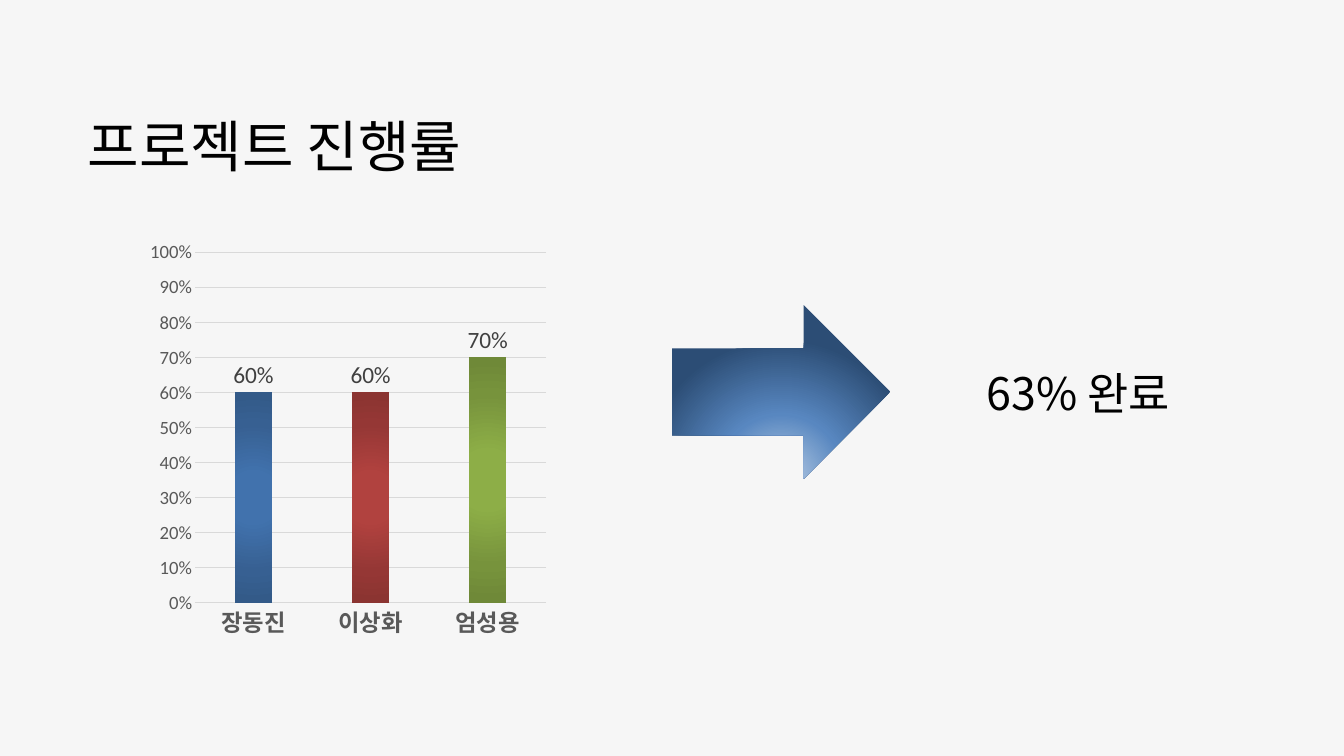
from pptx import Presentation
from pptx.chart.data import CategoryChartData
from pptx.dml.color import RGBColor
from pptx.enum.chart import XL_CHART_TYPE, XL_LABEL_POSITION, XL_TICK_MARK
from pptx.enum.shapes import MSO_SHAPE
from pptx.enum.text import MSO_ANCHOR
from pptx.oxml import parse_xml
from pptx.oxml.ns import nsdecls, qn
from pptx.util import Inches, Pt

KOREAN_FONT = "Noto Sans CJK KR"
CHART_FONT = "Calibri"
PROGRESS = {"장동진": 0.6, "이상화": 0.6, "엄성용": 0.7}
BAR_SHADES = [
    ("4172AD", "376092", "335A88"),
    ("B1423F", "953735", "8B3431"),
    ("8DAE47", "77933C", "6F8938"),
]


def color(hex_code):
    return RGBColor.from_string(hex_code)


def style_font(font, size, hex_code, name, bold=False):
    font.size = Pt(size)
    font.color.rgb = color(hex_code)
    font.name = name
    font.bold = bold


def radial_fill(fill, properties, stops, top=50):
    fill.solid()
    stop_xml = "".join(
        f'<a:gs pos="{position * 1000}"><a:srgbClr val="{shade}"/></a:gs>'
        for position, shade in stops
    )
    gradient = parse_xml(
        f'<a:gradFill {nsdecls("a")} rotWithShape="1"><a:gsLst>{stop_xml}</a:gsLst>'
        f'<a:path path="circle"><a:fillToRect l="50000" t="{top * 1000}" '
        f'r="50000" b="{(100 - top) * 1000}"/></a:path></a:gradFill>'
    )
    properties.replace(properties.find(qn("a:solidFill")), gradient)


def add_label(slide, text, left, top, width, height, size):
    label = slide.shapes.add_textbox(
        Inches(left), Inches(top), Inches(width), Inches(height)
    )
    frame = label.text_frame
    frame.word_wrap = True
    frame.vertical_anchor = MSO_ANCHOR.MIDDLE
    run = frame.paragraphs[0].add_run()
    run.text = text
    style_font(run.font, size, "000000", KOREAN_FONT)
    east_asian = parse_xml(f'<a:ea {nsdecls("a")} typeface="{KOREAN_FONT}"/>')
    run.font._element.find(qn("a:latin")).addnext(east_asian)


def style_axis(axis, size, bold=False):
    axis.major_tick_mark = XL_TICK_MARK.NONE
    axis.minor_tick_mark = XL_TICK_MARK.NONE
    style_font(axis.tick_labels.font, size, "595959", CHART_FONT, bold)


def style_line(line):
    line.color.rgb = color("D9D9D9")
    line.width = Pt(0.75)


def add_progress_chart(slide, left, top, width, height):
    data = CategoryChartData(number_format="0%")
    data.categories = list(PROGRESS)
    data.add_series("Series 1", list(PROGRESS.values()))
    chart = slide.shapes.add_chart(
        XL_CHART_TYPE.COLUMN_CLUSTERED,
        Inches(left), Inches(top), Inches(width), Inches(height), data,
    ).chart
    chart.has_legend = False
    chart.has_title = False
    style_font(chart.font, 10, "000000", CHART_FONT)

    members = chart.category_axis
    style_axis(members, 25, bold=True)
    style_line(members.format.line)

    rate = chart.value_axis
    style_axis(rate, 20)
    rate.minimum_scale, rate.maximum_scale, rate.major_unit = 0, 1, 0.1
    rate.tick_labels.number_format = "0%"
    rate.tick_labels.number_format_is_linked = False
    rate.format.line.fill.background()
    style_line(rate.major_gridlines.format.line)

    plot = chart.plots[0]
    plot.gap_width = 219
    plot.overlap = -27
    plot.vary_by_categories = False
    bars = plot.series[0]
    bars.format.fill.solid()
    bars.format.fill.fore_color.rgb = color("4F81BD")
    for index, (light, middle, dark) in enumerate(BAR_SHADES):
        bar = bars.points[index]
        stops = [(0, light), (23, light), (69, middle), (97, dark)]
        fill = bar.format.fill
        fill.solid()
        properties = bars._element.findall(qn("c:dPt"))[index].find(qn("c:spPr"))
        radial_fill(fill, properties, stops)

    labels = bars.data_labels
    labels.show_value = True
    labels.position = XL_LABEL_POSITION.OUTSIDE_END
    labels.number_format = "0%"
    labels.number_format_is_linked = False
    style_font(labels.font, 25, "404040", CHART_FONT)


def add_result_arrow(slide, left, top, width, height):
    arrow = slide.shapes.add_shape(
        MSO_SHAPE.RIGHT_ARROW,
        Inches(left), Inches(top), Inches(width), Inches(height),
    )
    arrow.shadow.inherit = False
    arrow.line.fill.background()
    stops = [(0, "B9CDE5"), (46, "5887C0"), (100, "2C4D75")]
    radial_fill(arrow.fill, arrow._element.spPr, stops, top=130)


def main():
    presentation = Presentation()
    presentation.slide_width = Inches(20)
    presentation.slide_height = Inches(11.25)
    slide = presentation.slides.add_slide(presentation.slide_layouts[6])
    slide.background.fill.solid()
    slide.background.fill.fore_color.rgb = color("F6F6F6")
    add_label(slide, "프로젝트 진행률", 1.21, 1.6, 7.71, 1.11, 60)
    add_progress_chart(slide, 2.11, 3.46, 6.14, 6.17)
    add_result_arrow(slide, 10, 4.54, 3.25, 2.58)
    add_label(slide, "63% 완료", 14.58, 5.38, 4.08, 0.91, 48)
    presentation.save("out.pptx")


main()
